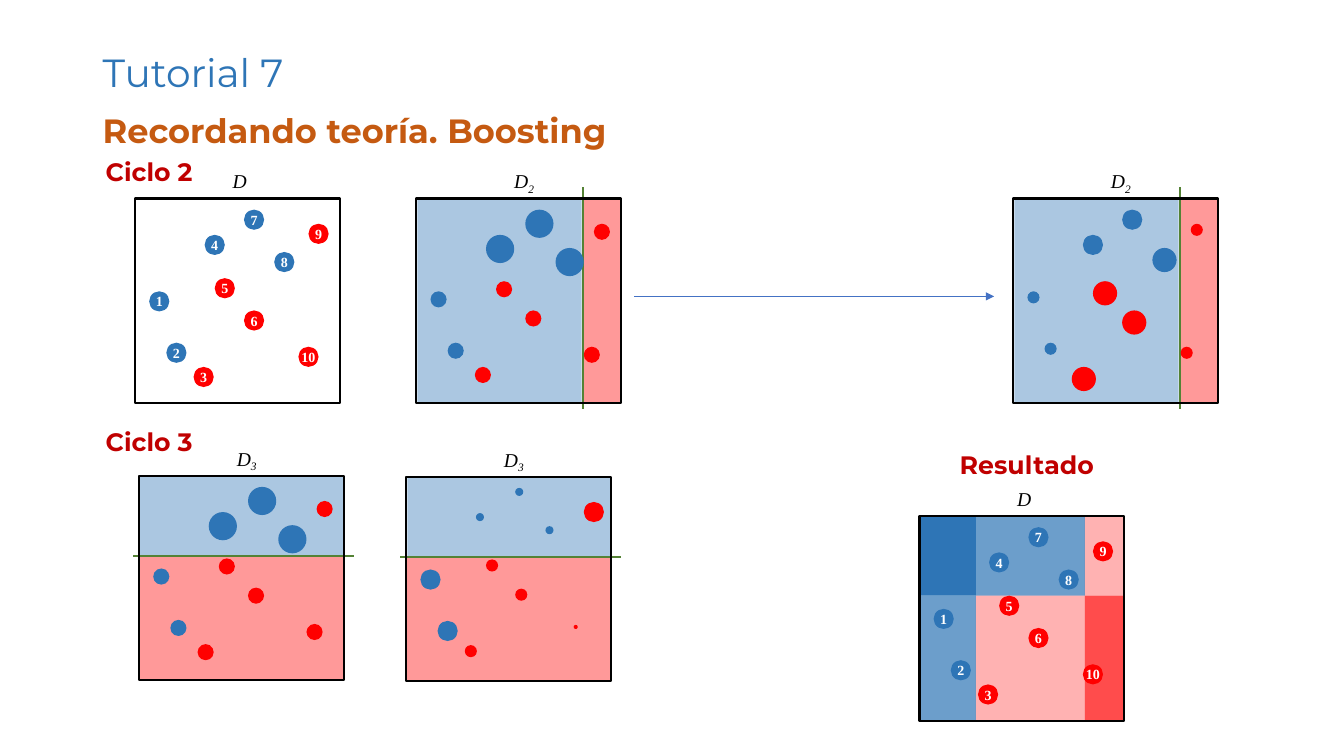
from pptx import Presentation
from pptx.dml.color import RGBColor
from pptx.enum.shapes import MSO_CONNECTOR, MSO_SHAPE
from pptx.enum.text import MSO_ANCHOR, PP_ALIGN
from pptx.oxml.ns import qn
from pptx.util import Inches, Pt
from lxml.etree import SubElement

BLUE, RED, GREEN, BLACK, WHITE = "2E75B6", "FF0000", "548235", "000000", "FFFFFF"
SANS, SERIF = "Montserrat", "Times New Roman"
SIDE = 2.03
LABEL_OFFSET = (0.87, -0.34)

TITLE = {"size": 28, "name": SANS, "color": BLUE}
SUBTITLE = {"size": 24, "name": SANS, "color": "C55A11", "bold": True}
HEADING = {"size": 18, "name": SANS, "color": "C00000", "bold": True}
SYMBOL = {"size": 14, "name": SERIF, "color": BLACK, "italic": True}
NUMBER = {"size": 10, "name": SERIF, "color": WHITE, "bold": True}

# left, top, width, height, text, format
TITLES = [
    (0.92, 0.4, 11.5, 0.69, "Tutorial 7", TITLE, {"anchor": MSO_ANCHOR.MIDDLE}, {"line_spacing": 0.9}),
    (0.92, 1.09, 11.5, 0.9, "Recordando teoría. Boosting", SUBTITLE, {},
     {"line_spacing": 0.9, "space_before": Pt(10)}),
]
HEADINGS = [(0.95, 1.5, "Ciclo 2"), (0.95, 4.18, "Ciclo 3"), (9.42, 4.41, "Resultado")]

# number: colour and top left corner inside a panel
NUMBERED = {
    4: (BLUE, 0.69, 0.36), 7: (BLUE, 1.08, 0.11), 8: (BLUE, 1.38, 0.53),
    1: (BLUE, 0.14, 0.92), 2: (BLUE, 0.31, 1.43), 5: (RED, 0.79, 0.79),
    9: (RED, 1.72, 0.25), 3: (RED, 0.58, 1.67), 6: (RED, 1.08, 1.11),
    10: (RED, 1.62, 1.47),
}
WEIGHTED = NUMBERED | {
    8: (BLUE, 1.38, 0.49), 5: (RED, 0.79, 0.82),
    9: (RED, 1.76, 0.25), 10: (RED, 1.66, 1.47),
}

# colour, opacity in percent, left, top, width, height inside a panel
VERTICAL = [(BLUE, 40, 0.01, 0, 1.63, SIDE), (RED, 40, 1.65, 0, 0.38, SIDE)]
HORIZONTAL = [(BLUE, 40, 0.01, 0, 2.02, 0.79), (RED, 40, 0, 0.8, SIDE, 1.23)]
COMBINED = [
    (BLUE, 70, 0.56, 0, 1.08, 0.79), (BLUE, 100, 0.01, 0, 0.55, 0.79),
    (BLUE, 70, 0.01, 0.79, 0.55, 1.24), (RED, 30, 0.56, 0.79, 1.08, 1.24),
    (RED, 30, 1.64, 0, 0.39, 0.79), (RED, 70, 1.64, 0.79, 0.39, 1.24),
]
VERTICAL_CUT = (1.65, -0.11, 1.65, 2.09)
HORIZONTAL_CUT = (-0.06, 0.8, 2.13, 0.8)

SAME = dict.fromkeys(NUMBERED, 0.2)
LARGE_BLUE = dict.fromkeys(NUMBERED, 0.16) | {4: 0.28, 7: 0.28, 8: 0.28}
AFTER_SECOND = {4: 0.2, 7: 0.2, 8: 0.24, 1: 0.12, 2: 0.12,
                5: 0.24, 9: 0.12, 3: 0.24, 6: 0.24, 10: 0.12}
AFTER_THIRD = {4: 0.08, 7: 0.08, 8: 0.08, 1: 0.2, 2: 0.2,
               5: 0.12, 9: 0.2, 3: 0.12, 6: 0.12, 10: 0.04}

# left, top, subscript, regions, cut, points, point sizes
PANELS = [
    (1.34, 1.97, "", [], None, NUMBERED, SAME),
    (4.13, 1.97, "2", VERTICAL, VERTICAL_CUT, WEIGHTED, LARGE_BLUE),
    (10.05, 1.97, "2", VERTICAL, VERTICAL_CUT, WEIGHTED, AFTER_SECOND),
    (1.38, 4.72, "3", HORIZONTAL, HORIZONTAL_CUT, WEIGHTED, LARGE_BLUE),
    (4.03, 4.73, "3", HORIZONTAL, HORIZONTAL_CUT, WEIGHTED, AFTER_THIRD),
    (9.12, 5.12, "", COMBINED, None, NUMBERED, SAME),
]


def rgb(color):
    return RGBColor.from_string(color)


def add_span(para, text, style):
    span = para.add_run()
    span.text = text
    for key, value in style.items():
        if key == "color":
            span.font.color.rgb = rgb(value)
        else:
            setattr(span.font, key, Pt(value) if key == "size" else value)
    return span


def add_text(shapes, place, text, style, frame_format={}, para_format={}):
    box = shapes.add_textbox(*map(Inches, place))
    for key, value in ({"word_wrap": True} | frame_format).items():
        setattr(box.text_frame, "vertical_anchor" if key == "anchor" else key, value)
    para = box.text_frame.paragraphs[0]
    for key, value in para_format.items():
        setattr(para, key, value)
    add_span(para, text, style)
    return para


def add_filled(shapes, kind, place, color=None, opacity=100):
    shape = shapes.add_shape(kind, *map(Inches, place))
    shape.shadow.inherit = False
    shape.line.fill.background()
    if color is None:
        shape.fill.background()
        return shape
    shape.fill.solid()
    shape.fill.fore_color.rgb = rgb(color)
    if opacity < 100:
        value = shape.fill._xPr.find(qn("a:solidFill"))[0]
        SubElement(value, qn("a:alpha"), val=str(opacity * 1000))
    return shape


def add_line(shapes, ends, color, width):
    line = shapes.add_connector(MSO_CONNECTOR.STRAIGHT, *map(Inches, ends))
    line.line.color.rgb = rgb(color)
    line.line.width = Pt(width)
    return line


def drop_shadow(line):
    SubElement(line._element.spPr, qn("a:effectLst"))


def add_point(shapes, number, place, color, labelled):
    point = add_filled(shapes, MSO_SHAPE.OVAL, place, color)
    if not labelled:
        return
    frame = point.text_frame
    layout = dict.fromkeys(("margin_left", "margin_right", "margin_top", "margin_bottom"), 0)
    layout |= {"word_wrap": False, "vertical_anchor": MSO_ANCHOR.MIDDLE}
    for key, value in layout.items():
        setattr(frame, key, value)
    frame.paragraphs[0].alignment = PP_ALIGN.CENTER
    add_span(frame.paragraphs[0], str(number), NUMBER)


def add_panel(page, left, top, subscript, regions, cut, points, sizes):
    """Draw one data set: regions, cut, frame, points and symbol, as a group."""
    shapes = page.shapes.add_group_shape().shapes
    for color, opacity, x, y, width, height in regions:
        add_filled(shapes, MSO_SHAPE.RECTANGLE, (left + x, top + y, width, height), color, opacity)
    if cut:
        ends = [left + cut[0], top + cut[1], left + cut[2], top + cut[3]]
        drop_shadow(add_line(shapes, ends, GREEN, 1.5))
    border = add_filled(shapes, MSO_SHAPE.RECTANGLE, (left, top, SIDE, SIDE))
    border.line.color.rgb = rgb(BLACK)
    border.line.width = Pt(1.5)
    for number, (color, x, y) in points.items():
        size = sizes[number]
        add_point(shapes, number, (left + x, top + y, size, size), color, points is NUMBERED)
    place = (left + LABEL_OFFSET[0], top + LABEL_OFFSET[1], 0.55 if subscript else 0.39, 0.34)
    para = add_text(shapes, place, "D", SYMBOL)
    if subscript:
        span = add_span(para, subscript, SYMBOL)
        span.font._element.set("baseline", "-25000")


def main():
    deck = Presentation()
    deck.slide_width, deck.slide_height = Inches(13.33), Inches(7.5)
    page = deck.slides.add_slide(deck.slide_layouts[6])
    for *place, text, style, frame_format, para_format in TITLES:
        add_text(page.shapes, place, text, style, frame_format, para_format)
    arrow = add_line(page.shapes, (6.29, 2.94, 9.86, 2.94), "4472C4", 0.5)
    SubElement(arrow.line._get_or_add_ln(), qn("a:tailEnd"), type="triangle")
    drop_shadow(arrow)
    for left, top, text in HEADINGS:
        add_text(page.shapes, (left, top, 2.5, 0.4), text, HEADING)
    for panel in PANELS:
        add_panel(page, *panel)
    deck.save("out.pptx")


if __name__ == "__main__":
    main()
